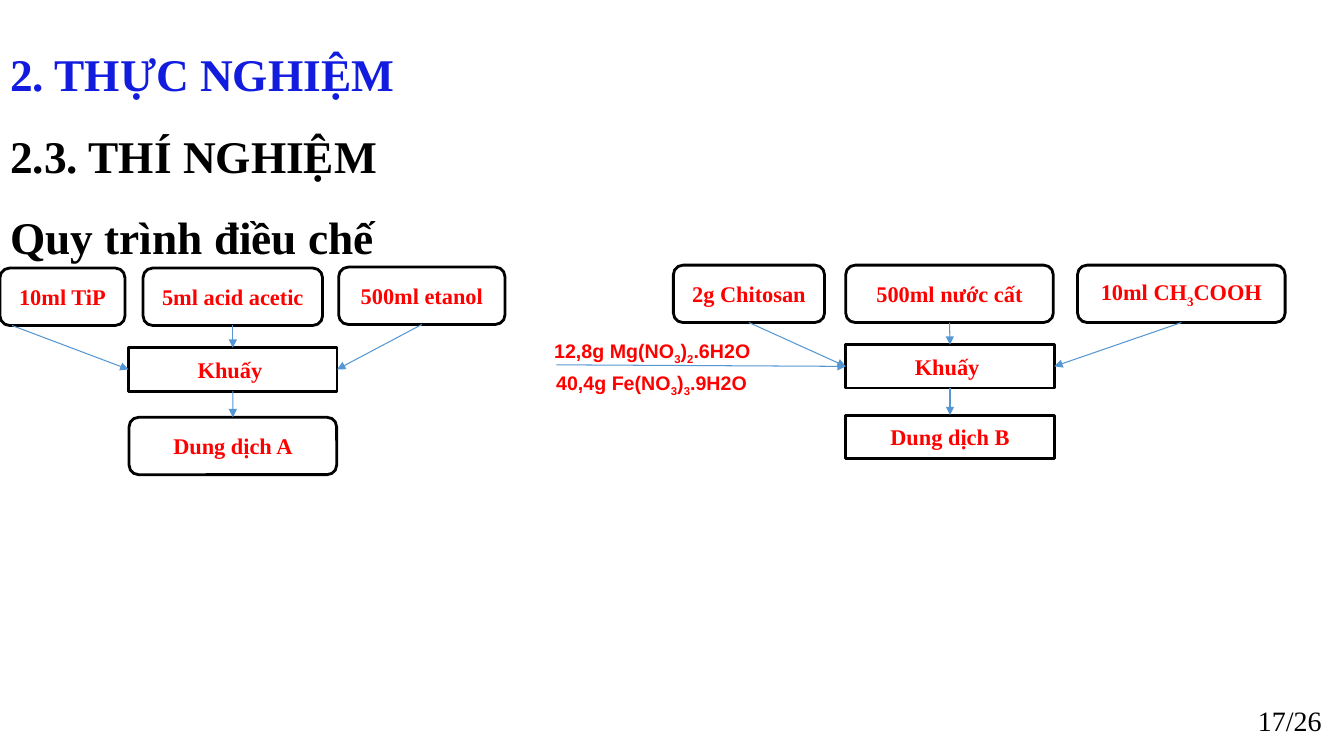
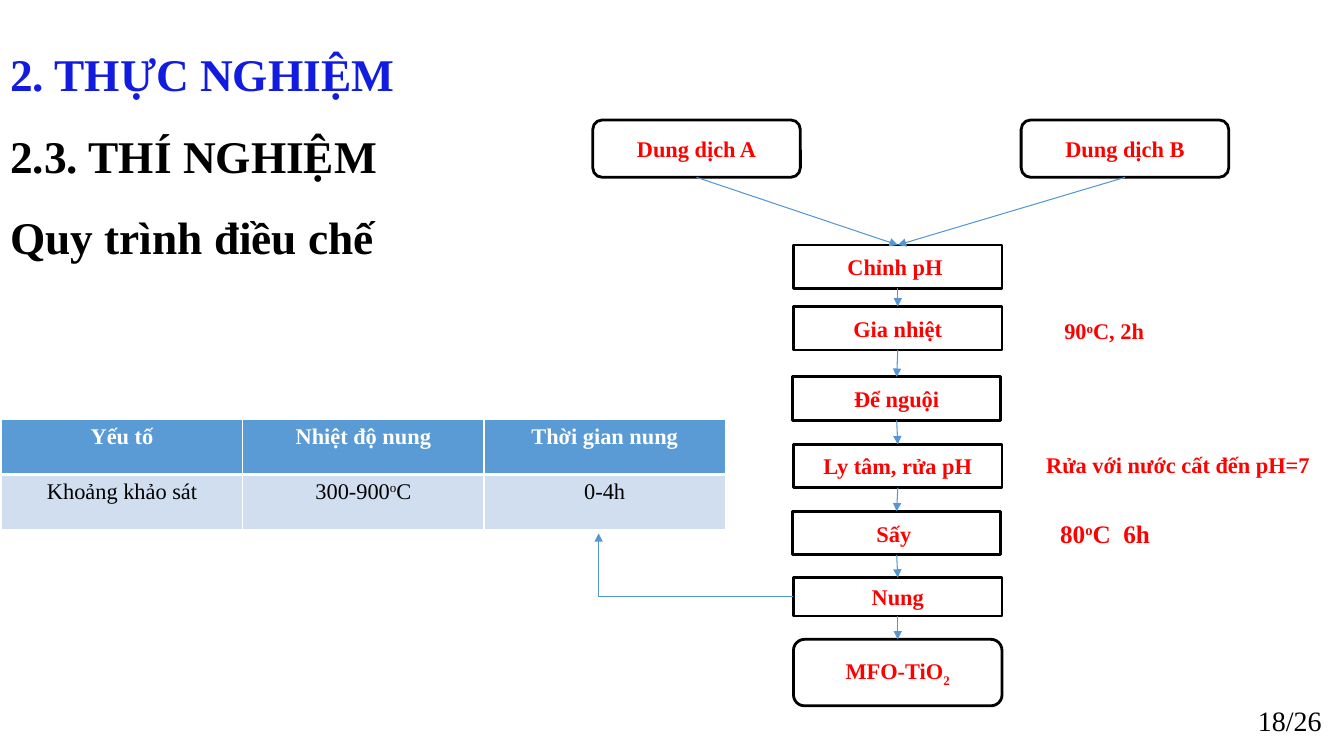
from lxml.etree import SubElement
from pptx import Presentation
from pptx.dml.color import RGBColor
from pptx.enum.shapes import MSO_CONNECTOR, MSO_SHAPE
from pptx.enum.text import MSO_ANCHOR, MSO_AUTO_SIZE, PP_ALIGN
from pptx.oxml.ns import qn
from pptx.util import Pt

COLORS = {
    "heading": "121CDE",
    "black": "000000",
    "white": "FFFFFF",
    "step": "FF0000",
    "arrow": "5597D3",
    "table_head": "5B9BD5",
    "table_body": "D0DEEF",
}
RGB = {role: RGBColor.from_string(value) for role, value in COLORS.items()}
SERIF, SANS = "Times New Roman", "Arial"
STEP_W, STEP_H = 149, 31
FLASK_W, FLASK_H = 148.3, 41
RECT, ROUND = MSO_SHAPE.RECTANGLE, MSO_SHAPE.ROUNDED_RECTANGLE
TOP, LEFT, BOTTOM, RIGHT = range(4)


def write(paragraph, text, size=16, color="step", bold=True, font=SERIF, align=PP_ALIGN.CENTER):
    paragraph.alignment = align
    for position, piece in enumerate(text.split("|")):
        if not piece:
            continue
        run = paragraph.add_run()
        run.text = piece
        run.font.size = Pt(size)
        run.font.bold = bold
        run.font.name = font
        run.font.color.rgb = RGB[color]
        if position % 2:
            run.font._element.set("baseline", "30000" if piece == "o" else "-25000")


def connect(slide, boxes, start, end, arrowhead=True):
    points = [(0, 0) if spot[0] in boxes else spot for spot in (start, end)]
    link = slide.shapes.add_connector(
        MSO_CONNECTOR.STRAIGHT, *[Pt(value) for point in points for value in point]
    )
    if start[0] in boxes:
        link.begin_connect(boxes[start[0]], start[1])
    if end[0] in boxes:
        link.end_connect(boxes[end[0]], end[1])
    link.line.color.rgb = RGB["arrow"]
    link.line.width = Pt(0.75)
    if arrowhead:
        SubElement(link.line._get_or_add_ln(), qn("a:tailEnd"), type="triangle")
    SubElement(link._element.spPr, qn("a:effectLst"))


preparation = {
    "page": "17/26",
    "boxes": {
        "tip": ("10ml TiP", ROUND, 0, 191.5, 89.3, FLASK_H),
        "acid": ("5ml acid acetic", ROUND, 102.2, 191.5, 128.2, FLASK_H),
        "ethanol": ("500ml etanol", ROUND, 241.9, 190.8, 118.8, FLASK_H),
        "stir A": ("Khuấy ", RECT, 91.8, 248.4, STEP_W, STEP_H),
        "solution A": ("Dung dịch A", ROUND, 92.2, 298.1, FLASK_W, FLASK_H),
        "chitosan": ("2g Chitosan", ROUND, 481, 189.4, 108, FLASK_H),
        "water": ("500ml nước cất", ROUND, 604.1, 189.4, FLASK_W, FLASK_H),
        "acetic": ("10ml CH|3|COOH", ROUND, 769.7, 189.4, FLASK_W, FLASK_H),
        "stir B": ("Khuấy ", RECT, 604.1, 246.2, STEP_W, STEP_H),
        "solution B": ("Dung dịch B", RECT, 604.1, 296.6, STEP_W, STEP_H),
    },
    "links": [
        ((8.6, 232.5), ("stir A", LEFT)),
        (("acid", BOTTOM), ("stir A", TOP)),
        (("ethanol", BOTTOM), ("stir A", RIGHT)),
        (("stir A", BOTTOM), ("solution A", TOP)),
        (("chitosan", BOTTOM), ("stir B", LEFT)),
        (("water", BOTTOM), ("stir B", TOP)),
        (("acetic", BOTTOM), ("stir B", RIGHT)),
        (("stir B", BOTTOM), ("solution B", TOP)),
        ((397.4, 260.6), ("stir B", LEFT)),
    ],
    "labels": [
        ("12,8g Mg(NO|3|)|2|.6H2O", 388.8, 238.3, 160.6, 41, 14, SANS),
        ("40,4g Fe(NO|3|)|3|.9H2O", 390.2, 261.4, 152.6, 24.5, 14, SANS),
    ],
}

synthesis = {
    "page": "18/26",
    "boxes": {
        "solution A": ("Dung dịch A", ROUND, 423.4, 85.7, FLASK_W, FLASK_H),
        "solution B": ("Dung dịch B", ROUND, 729.4, 85.7, FLASK_W, FLASK_H),
        "adjust": ("Chỉnh pH ", RECT, 566.8, 175, STEP_W, STEP_H),
        "heat": ("Gia nhiệt", RECT, 566.8, 219, STEP_W, STEP_H),
        "cool": ("Để nguội", RECT, 566, 269.2, STEP_W, STEP_H),
        "wash": ("Ly tâm, rửa pH", RECT, 566.8, 317.4, STEP_W, STEP_H),
        "dry": ("Sấy ", RECT, 566, 365.3, STEP_W, STEP_H),
        "calcine": ("Nung", RECT, 566.8, 412.6, STEP_W, 27.4),
        "product": ("MFO-TiO|2", ROUND, 566.8, 456.7, STEP_W, 47.5),
    },
    "links": [
        (("solution A", BOTTOM), ("adjust", TOP)),
        (("solution B", BOTTOM), ("adjust", TOP)),
        (("calcine", LEFT), (427.6, 426.3), False),
        ((427.6, 426.3), (427.6, 381)),
    ],
    "labels": [
        ("90|o|C, 2h", 753.1, 223.2, 72.7, 26.6, 16, SERIF),
        ("Rửa với nước cất đến pH=7", 740.2, 319, 205.4, 26.6, 16, SERIF),
        ("80|o|C  6h", 750.2, 366.5, 175, 28.8, 18, SERIF),
    ],
}
steps = list(synthesis["boxes"])[2:]
synthesis["links"] += [
    ((upper, BOTTOM), (lower, TOP)) for upper, lower in zip(steps, steps[1:])
]

prs = Presentation()
prs.slide_width, prs.slide_height = Pt(960), Pt(540)

for content in (preparation, synthesis):
    slide = prs.slides.add_slide(prs.slide_layouts[5])

    title = slide.shapes.title
    title.left, title.top, title.width, title.height = Pt(0), Pt(0), Pt(330), Pt(248.4)
    heading = title.text_frame
    heading.auto_size = MSO_AUTO_SIZE.NONE
    heading.vertical_anchor = MSO_ANCHOR.TOP
    heading.margin_top = Pt(13.8)
    lines = heading.paragraphs[0]
    lines.line_spacing = Pt(58.2)
    write(lines, "2. THỰC NGHIỆM", 32.4, "heading", align=PP_ALIGN.LEFT)
    for subheading in ("2.3. THÍ NGHIỆM", "Quy trình điều chế"):
        lines.add_line_break()
        write(lines, subheading, 32.4, "black", align=PP_ALIGN.LEFT)

    boxes = {}
    for key, (text, outline, *place) in content["boxes"].items():
        box = slide.shapes.add_shape(outline, *map(Pt, place))
        box.shadow.inherit = False
        box.fill.solid()
        box.fill.fore_color.rgb = RGB["white"]
        box.line.color.rgb = RGB["black"]
        box.line.width = Pt(2)
        box.text_frame.word_wrap = True
        box.text_frame.vertical_anchor = MSO_ANCHOR.MIDDLE
        write(box.text_frame.paragraphs[0], text)
        boxes[key] = box

    for link in content["links"]:
        connect(slide, boxes, *link)

    for text, x, y, w, h, size, font in content["labels"]:
        label = slide.shapes.add_textbox(Pt(x), Pt(y), Pt(w), Pt(h)).text_frame
        label.word_wrap = True
        write(label.paragraphs[0], text, size, font=font, align=PP_ALIGN.LEFT)

    page = slide.shapes.add_textbox(Pt(727.2), Pt(500.4), Pt(224), Pt(28.8)).text_frame
    page.word_wrap = True
    page.vertical_anchor = MSO_ANCHOR.MIDDLE
    write(page.paragraphs[0], content["page"], 20, "black", False, align=PP_ALIGN.RIGHT)

conditions = [
    ("Yếu tố", "Nhiệt độ nung", "Thời gian nung"),
    ("Khoảng khảo sát", "300-900|o|C", "0-4h"),
]
table = slide.shapes.add_table(2, 3, Pt(1), Pt(299.5), Pt(517.2), Pt(78.8)).table
for r, values in enumerate(conditions):
    table.rows[r].height = Pt(39.4)
    is_head = r == 0
    for c, value in enumerate(values):
        cell = table.cell(r, c)
        borders = cell._tc.get_or_add_tcPr()
        for side in ("lnL", "lnR", "lnT", "lnB"):
            weight = 3 if side == ("lnB" if is_head else "lnT") else 1
            border = SubElement(borders, qn("a:" + side), w=str(Pt(weight)))
            paint = SubElement(border, qn("a:solidFill"))
            SubElement(paint, qn("a:srgbClr"), val=COLORS["white"])
        cell.fill.solid()
        cell.fill.fore_color.rgb = RGB["table_head" if is_head else "table_body"]
        write(cell.text_frame.paragraphs[0], value, color="white" if is_head else "black", bold=is_head)

prs.save("out.pptx")
